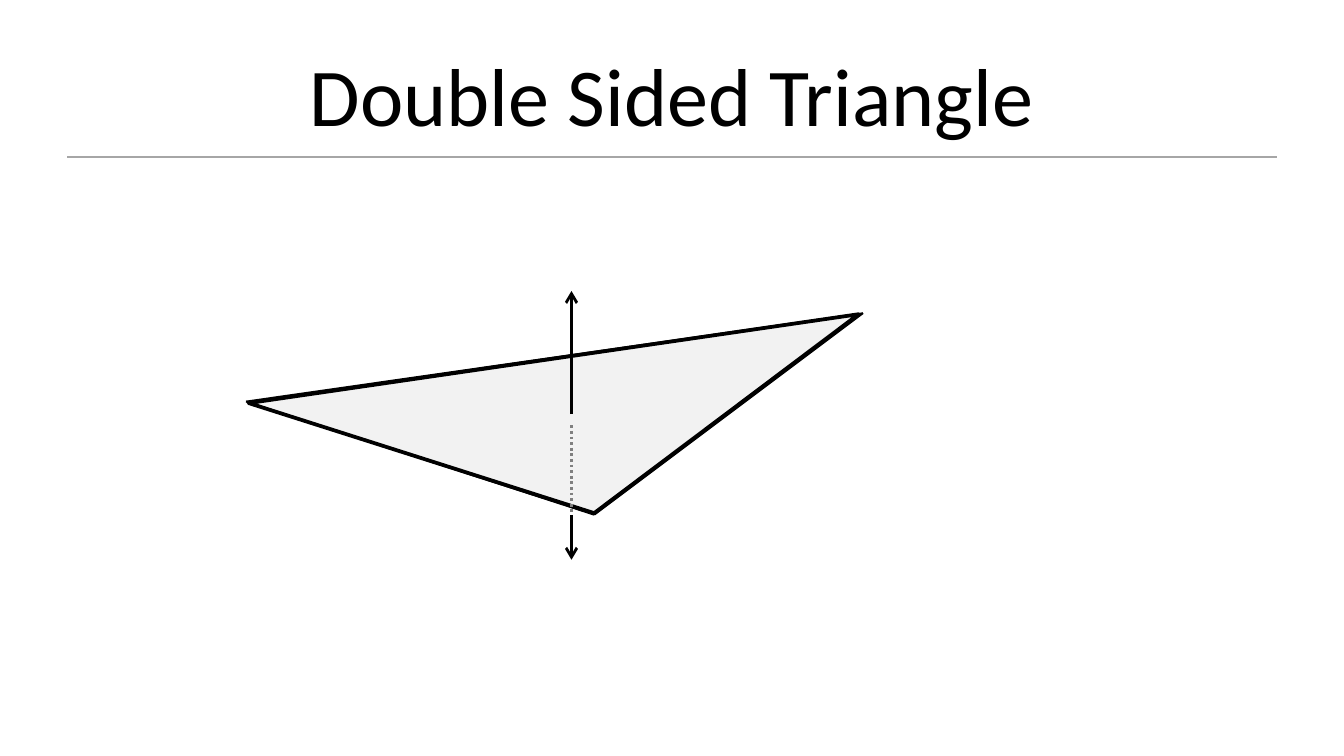
from dataclasses import dataclass
from itertools import combinations

from lxml.etree import SubElement
from pptx import Presentation
from pptx.dml.color import RGBColor
from pptx.enum.dml import MSO_LINE
from pptx.enum.shapes import MSO_CONNECTOR
from pptx.enum.text import MSO_ANCHOR, PP_ALIGN
from pptx.oxml.ns import qn
from pptx.slide import Slide
from pptx.util import Cm, Pt

COLORS = {
    "ink": "000000",
    "face": "F2F2F2",
    "rule": "A6A6A6",
    "hidden": "808080",
    "background": "FFFFFF",
}
FACE_CORNERS = [(4.7, 7.62), (11.23, 9.7), (16.23, 5.94)]
EDGE_CORNERS = [(4.65, 7.59), (11.23, 9.73), (16.31, 5.92)]
NORMAL_X = 10.8
RULE_Y = 2.96


@dataclass(frozen=True)
class Segment:
    """A straight line between two points in centimetres."""

    start: tuple[float, float]
    end: tuple[float, float]
    color: str = "ink"
    width: float = 1
    arrow: bool = False
    dotted: bool = False


def color_of(name: str) -> RGBColor:
    """Return the named colour."""
    return RGBColor.from_string(COLORS[name])


def draw_segment(page: Slide, segment: Segment) -> None:
    """Draw one line, with its dash and arrowhead."""
    connector = page.shapes.add_connector(
        MSO_CONNECTOR.STRAIGHT,
        *(Cm(value) for value in segment.start + segment.end),
    )
    line = connector.line
    line.color.rgb = color_of(segment.color)
    line.width = Pt(segment.width)
    if segment.dotted:
        line.dash_style = MSO_LINE.ROUND_DOT
    properties = connector._element.spPr
    if segment.arrow:
        SubElement(properties.find(qn("a:ln")), qn("a:tailEnd"), type="arrow")
    SubElement(properties, qn("a:effectLst"))


def draw_face(page: Slide) -> None:
    """Draw the filled triangle."""
    first, *others = [(Cm(x), Cm(y)) for x, y in FACE_CORNERS]
    builder = page.shapes.build_freeform(*first)
    builder.add_line_segments(others, close=True)
    triangle = builder.convert_to_shape()
    triangle.shadow.inherit = False
    triangle.fill.solid()
    triangle.fill.fore_color.rgb = color_of("face")
    triangle.line.color.rgb = color_of("ink")
    triangle.line.width = Pt(2)


def draw_title(page: Slide, text: str) -> None:
    """Write the centred slide title."""
    box = page.shapes.add_textbox(Cm(1.27), Cm(0.58), Cm(22.86), Cm(2.39))
    frame = box.text_frame
    frame.word_wrap = True
    frame.vertical_anchor = MSO_ANCHOR.MIDDLE
    frame.text = text
    para = frame.paragraphs[0]
    para.alignment = PP_ALIGN.CENTER
    font = para.runs[0].font
    font.name = "Calibri"
    font.size = Pt(44)
    font.color.rgb = color_of("ink")


def main() -> None:
    """Build and save the deck."""
    deck = Presentation()
    deck.slide_width, deck.slide_height = Cm(25.4), Cm(14.29)
    page = deck.slides.add_slide(deck.slide_layouts[6])
    page.background.fill.solid()
    page.background.fill.fore_color.rgb = color_of("background")

    draw_face(page)
    draw_title(page, "Double Sided Triangle")
    edges = [Segment(start, end) for start, end in combinations(EDGE_CORNERS, 2)]
    details = [
        Segment((NORMAL_X, 7.83), (NORMAL_X, 5.5), width=1.5, arrow=True),
        Segment((1.27, RULE_Y), (24.13, RULE_Y), "rule"),
        Segment((NORMAL_X, 8.04), (NORMAL_X, 10.37), "hidden", 1.5, dotted=True),
        Segment((NORMAL_X, 9.73), (NORMAL_X, 10.58), width=1.5, arrow=True),
    ]
    for segment in edges + details:
        draw_segment(page, segment)
    deck.save("out.pptx")


if __name__ == "__main__":
    main()
